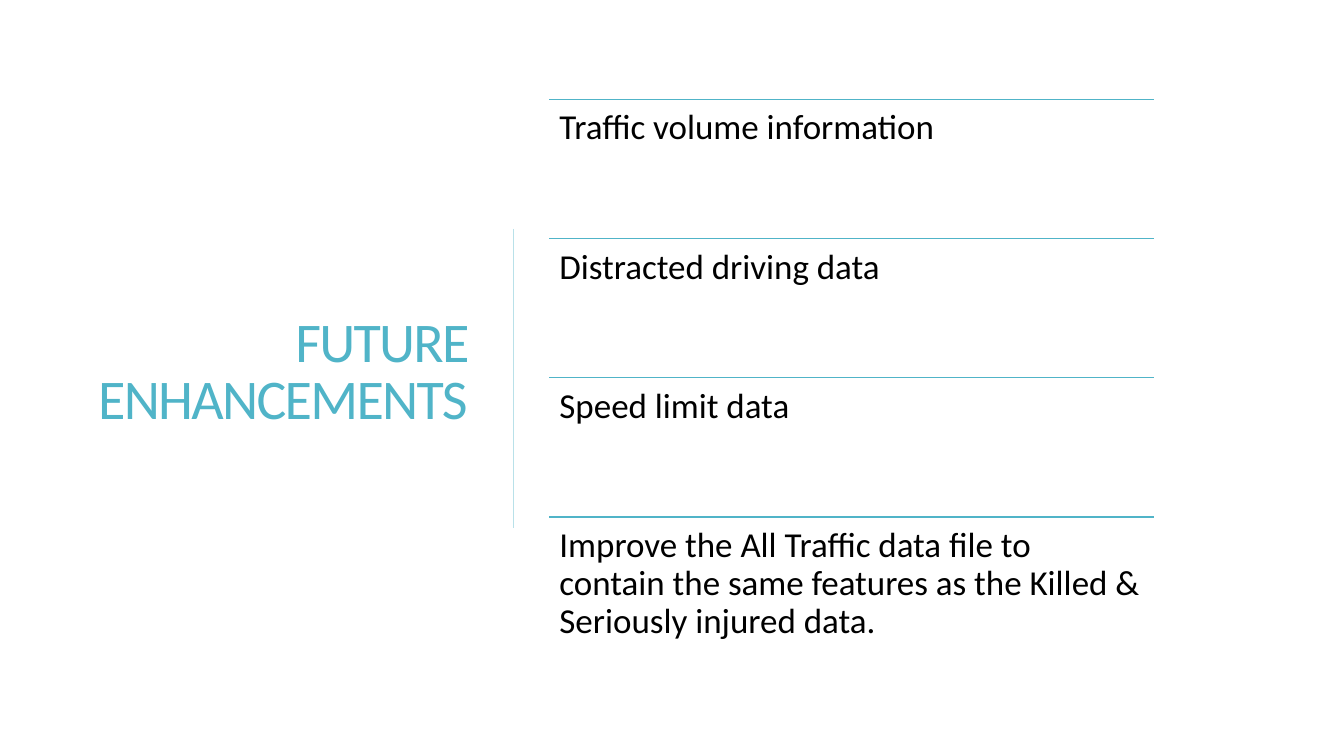
from dataclasses import dataclass

from pptx import Presentation
from pptx import util as u
from pptx.dml import color
from pptx.enum import shapes, text
from pptx.oxml import ns
from lxml import etree


@dataclass(frozen=True)
class Theme:
    font: str = "Calibri"
    accent: str = "50B4C8"
    divider: str = "B9E1E9"
    body: str = "000000"
    title_size: float = 40
    body_size: float = 25
    title_tracking: float = -1.2
    rule_width: float = 1
    divider_width: float = 0.75


THEME = Theme()
ENHANCEMENTS = [
    "Traffic volume information",
    "Distracted driving data",
    "Speed limit data",
    "Improve the All Traffic data file to contain the same features "
    "as the Killed & Seriously injured data.",
]
LIST_LEFT, LIST_TOP, LIST_WIDTH = 13.84, 2.5, 15.24
ROW_HEIGHT = 3.51


def add_run(paragraph, wording, size, rgb):
    run = paragraph.add_run()
    run.text = wording
    run.font.name = THEME.font
    run.font.size = u.Pt(size)
    run.font.color.rgb = color.RGBColor.from_string(rgb)
    return run


def add_line(slide, start, end, rgb, width):
    line = slide.shapes.add_connector(
        shapes.MSO_CONNECTOR.STRAIGHT, *(u.Cm(value) for value in start + end)
    )
    line.line.color.rgb = color.RGBColor.from_string(rgb)
    line.line.width = u.Pt(width)
    etree.SubElement(line._element.spPr, ns.qn("a:effectLst"))


def set_title(slide, wording):
    title = slide.shapes.title
    title.left, title.top = u.Cm(1.98), u.Cm(2.5)
    title.width, title.height = u.Cm(10.06), u.Cm(13.84)
    frame = title.text_frame
    frame.word_wrap = True
    frame.auto_size = text.MSO_AUTO_SIZE.NONE
    frame.vertical_anchor = text.MSO_ANCHOR.MIDDLE
    paragraph = frame.paragraphs[0]
    paragraph.alignment = text.PP_ALIGN.RIGHT
    paragraph.line_spacing = 0.85
    run = add_run(paragraph, wording, THEME.title_size, THEME.accent)
    run.font._element.set("spc", str(round(THEME.title_tracking * 100)))


def add_enhancement(slide, top, wording):
    add_line(slide, (LIST_LEFT, top), (LIST_LEFT + LIST_WIDTH, top),
             THEME.accent, THEME.rule_width)
    entry = slide.shapes.add_textbox(
        u.Cm(LIST_LEFT), u.Cm(top), u.Cm(LIST_WIDTH), u.Cm(ROW_HEIGHT)
    )
    frame = entry.text_frame
    frame.word_wrap = True
    frame.margin_left = frame.margin_right = u.Cm(0.26)
    frame.margin_top = frame.margin_bottom = u.Cm(0.26)
    paragraph = frame.paragraphs[0]
    paragraph.alignment = text.PP_ALIGN.LEFT
    paragraph.line_spacing = 0.9
    add_run(paragraph, wording, THEME.body_size, THEME.body)


def main():
    deck = Presentation()
    deck.slide_width, deck.slide_height = u.Cm(33.87), u.Cm(19.05)
    slide = deck.slides.add_slide(deck.slide_layouts.get_by_name("Title Only"))
    set_title(slide, "FUTURE ENHANCEMENTS")
    add_line(slide, (12.95, 5.77), (12.95, 13.31),
             THEME.divider, THEME.divider_width)
    for row, wording in enumerate(ENHANCEMENTS):
        add_enhancement(slide, LIST_TOP + row * ROW_HEIGHT, wording)
    deck.save("out.pptx")


if __name__ == "__main__":
    main()
